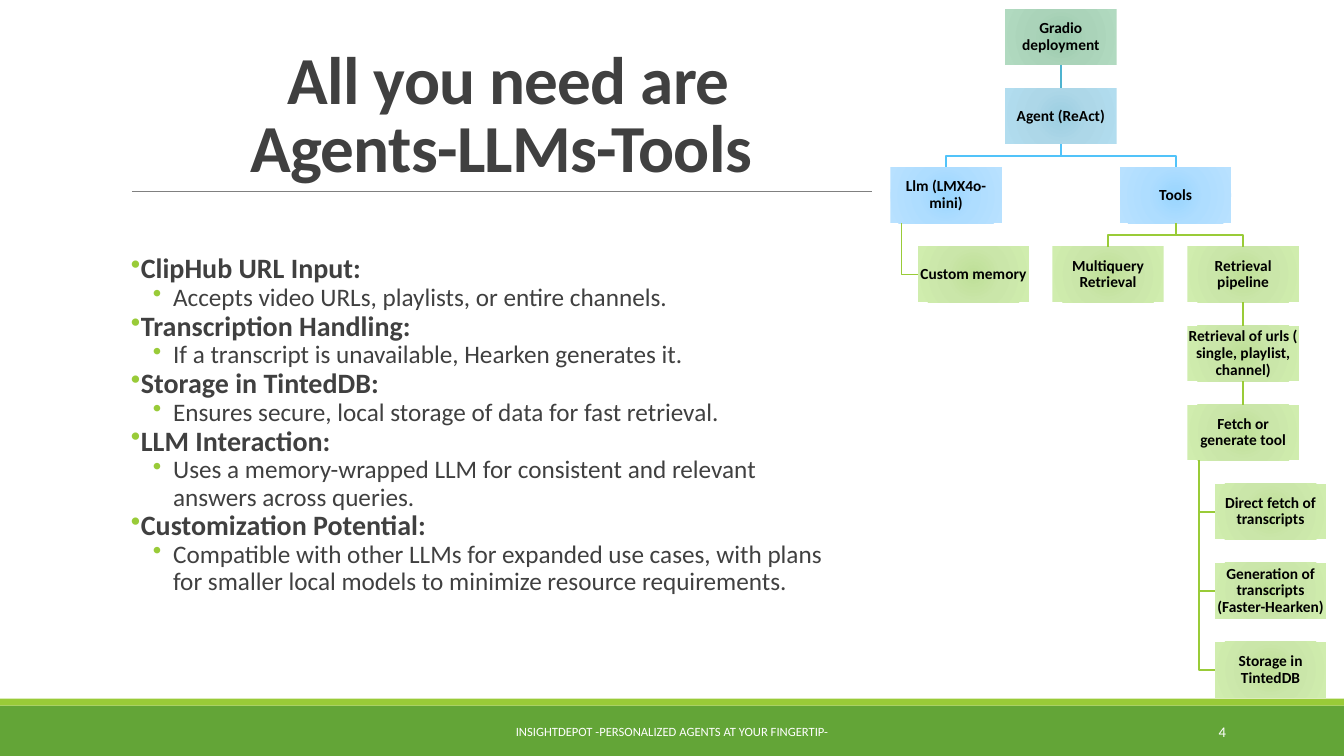
import pptx
import pptx.dml.color
import pptx.enum.shapes
import pptx.enum.text
import pptx.oxml
import pptx.oxml.ns
import pptx.util

Pt = pptx.util.Pt
ALIGN = pptx.enum.text.PP_ALIGN
ANCHOR = pptx.enum.text.MSO_ANCHOR
SHAPE = pptx.enum.shapes.MSO_SHAPE
NAMESPACE = pptx.oxml.ns.nsdecls("a")
rgb = pptx.dml.color.RGBColor.from_string

THEME = {
    "font": "Calibri",
    "ink": "404040", "node ink": "000000", "white": "FFFFFF",
    "band": "63A537", "stripe": "99CB38", "rule": "808080",
    "title size": 48, "heading size": 20, "detail size": 18,
    "node size": 11, "footer size": 9, "number size": 10.5,
    # One entry per tree level; deeper levels use the last one.
    "node fills": [("9ACAAC", "AAD3B9", "B1DAC0"), ("9CCEE1", "ADD7E8", "B2DDEF"),
                   ("99D5FE", "AEDDFF", "B8E1FF"), ("BEDF97", "CAE6A9", "D0EDAE")],
    "link colours": [None, "4EB3CF", "51C3F9", "99CB38"],
}


def write_paragraph(frame, text, size, colour, **formats):
    """Fill the empty first paragraph of the frame, or append a new one."""
    paragraph = frame.paragraphs[0]
    if paragraph.runs:
        paragraph = frame.add_paragraph()
    bold = formats.pop("bold", False)
    for name, value in formats.items():
        setattr(paragraph, name, value)
    for index, line in enumerate(text.split("\n")):
        if index:
            paragraph.add_line_break()
        run = paragraph.add_run()
        run.text = line
        for name, value in {"name": THEME["font"], "size": Pt(size), "bold": bold}.items():
            setattr(run.font, name, value)
        run.font.color.rgb = rgb(colour)
    return paragraph


def add_text_frame(left, top, width, height, anchor):
    frame = slide.shapes.add_textbox(Pt(left), Pt(top), Pt(width), Pt(height)).text_frame
    frame.word_wrap = True
    frame.vertical_anchor = anchor
    return frame


presentation = pptx.Presentation()
presentation.slide_width, presentation.slide_height = Pt(960), Pt(540)
slide = presentation.slides.add_slide(presentation.slide_layouts[6])

# Footer bands and title rule
for top, height, colour in [(504, 36, "band"), (499, 5, "stripe")]:
    band = slide.shapes.add_shape(SHAPE.RECTANGLE, 0, Pt(top), Pt(960), Pt(height))
    band.shadow.inherit = False
    band.fill.solid()
    band.fill.fore_color.rgb = rgb(THEME[colour])
    band.line.fill.background()

title_rule = slide.shapes.add_connector(
    pptx.enum.shapes.MSO_CONNECTOR.STRAIGHT, Pt(94.3), Pt(136.8), Pt(622.8), Pt(136.8))
title_rule.line.color.rgb = rgb(THEME["rule"])
title_rule.line.width = Pt(0.5)
title_rule._element.spPr.append(pptx.oxml.parse_xml(f"<a:effectLst {NAMESPACE}/>"))

# Title
title = write_paragraph(
    add_text_frame(86.4, 22.3, 553.7, 114.5, ANCHOR.BOTTOM),
    "All you need are\nAgents-LLMs-Tools ", THEME["title size"], THEME["ink"],
    bold=True, alignment=ALIGN.CENTER, line_spacing=0.85)
for run in title.runs:
    run.font._element.set("spc", "-50")

# Bulleted features
features = [
    ("ClipHub URL Input:", "Accepts video URLs, playlists, or entire channels."),
    ("Transcription Handling:", "If a transcript is unavailable, Hearken generates it."),
    ("Storage in TintedDB:", "Ensures secure, local storage of data for fast retrieval."),
    ("LLM Interaction:",
     "Uses a memory-wrapped LLM for consistent and relevant answers across queries."),
    ("Customization Potential:",
     "Compatible with other LLMs for expanded use cases, with plans for smaller local "
     "models to minimize resource requirements."),
]
bullet_levels = [("heading size", True, 7.2, 7.2), ("detail size", False, 30.2, 14.4)]
body = add_text_frame(86.4, 177.1, 516.2, 253.4, ANCHOR.MIDDLE)
for feature in features:
    for level, text in enumerate(feature):
        size, bold, margin, hang = bullet_levels[level]
        paragraph = write_paragraph(body, text, THEME[size], THEME["ink"], bold=bold,
                                    level=level, line_spacing=0.9)
        properties = paragraph._element.get_or_add_pPr()
        properties.set("marL", str(Pt(margin)))
        properties.set("indent", str(-Pt(hang)))
        for bullet in (f'<a:buClr {NAMESPACE}><a:srgbClr val="{THEME["stripe"]}"/></a:buClr>',
                       f'<a:buChar {NAMESPACE} char="•"/>'):
            properties.append(pptx.oxml.parse_xml(bullet))

# Tree nodes: key -> text, left edge, row, parent key, kind of link from the parent
NODE_WIDTH, NODE_HEIGHT = 79.6, 39.8
FIRST_TOP, ROW_PITCH = 6.6, 56.5
HANG_OFFSET = 8
nodes = {
    "deployment": ("Gradio deployment", 718, 0, None, None),
    "agent": ("Agent (ReAct)", 718, 1, "deployment", "straight"),
    "llm": ("Llm (LMX4o-mini)", 636, 2, "agent", "fork"),
    "tools": ("Tools", 800, 2, "agent", "fork"),
    "memory": ("Custom memory", 655.6, 3, "llm", "hang"),
    "multiquery": ("Multiquery Retrieval", 751.7, 3, "tools", "fork"),
    "pipeline": ("Retrieval pipeline", 848.2, 3, "tools", "fork"),
    "urls": ("Retrieval of urls ( single, playlist, channel)", 848.2, 4, "pipeline", "straight"),
    "fetch": ("Fetch or generate tool", 848.2, 5, "urls", "straight"),
    "direct": ("Direct fetch of transcripts", 867.8, 6, "fetch", "hang"),
    "generation": ("Generation of transcripts (Faster-Hearken)", 867.8, 7, "fetch", "hang"),
    "storage": ("Storage in TintedDB", 867.8, 8, "fetch", "hang"),
}
boxes = {}
for key, (text, left, row, parent, link_kind) in nodes.items():
    theme_level = min(row, 3)
    top = FIRST_TOP + row * ROW_PITCH
    box = slide.shapes.add_shape(SHAPE.RECTANGLE, Pt(left), Pt(top),
                                 Pt(NODE_WIDTH), Pt(NODE_HEIGHT))
    boxes[key] = box
    box.shadow.inherit = False
    box.line.fill.background()
    box.fill.gradient()
    stops = "".join(f'<a:gs pos="{position}"><a:srgbClr val="{colour}"/></a:gs>'
                    for position, colour in zip((0, 45000, 100000),
                                                THEME["node fills"][theme_level]))
    gradient = box._element.spPr.find(pptx.oxml.ns.qn("a:gradFill"))
    gradient[:] = list(pptx.oxml.parse_xml(
        f'<a:gradFill {NAMESPACE}><a:gsLst>{stops}</a:gsLst><a:path path="circle">'
        '<a:fillToRect l="100000" t="100000" r="100000" b="100000"/></a:path></a:gradFill>'))
    frame = box.text_frame
    frame.word_wrap = True
    frame.vertical_anchor = ANCHOR.MIDDLE
    for side in ("left", "top", "right", "bottom"):
        setattr(frame, f"margin_{side}", Pt(0.7))
    write_paragraph(frame, text, THEME["node size"], THEME["node ink"], bold=True,
                    alignment=ALIGN.CENTER, line_spacing=0.9)

    if parent is None:
        continue
    parent_left, parent_row = nodes[parent][1:3]
    start_y = FIRST_TOP + parent_row * ROW_PITCH + NODE_HEIGHT
    if link_kind == "straight":
        link = slide.shapes.add_connector(pptx.enum.shapes.MSO_CONNECTOR.STRAIGHT, 0, 0, 0, 0)
        link.begin_connect(boxes[parent], 2)
        link.end_connect(box, 0)
        link._element.spPr.append(pptx.oxml.parse_xml(f"<a:effectLst {NAMESPACE}/>"))
    else:
        if link_kind == "fork":
            start_x, end_x = parent_left + NODE_WIDTH / 2, left + NODE_WIDTH / 2
            bend_y = (start_y + top) / 2
            corners = [(start_x, bend_y), (end_x, bend_y), (end_x, top)]
        else:
            start_x, bend_y = parent_left + HANG_OFFSET, top + NODE_HEIGHT / 2
            corners = [(start_x, bend_y), (left, bend_y)]
        builder = slide.shapes.build_freeform(Pt(start_x), Pt(start_y))
        builder.add_line_segments([(Pt(x), Pt(y)) for x, y in corners], close=False)
        link = builder.convert_to_shape()
        link.shadow.inherit = False
        link.fill.background()
    link.line.color.rgb = rgb(THEME["link colours"][theme_level])
    link.line.width = Pt(1.25)

# Footer text and slide number
for left, width, text, size, alignment in [
    (290.2, 379.4, "INSIGHTDEPOT -PERSONALIZED AGENTS AT YOUR FINGERTIP-", "footer size",
     ALIGN.CENTER),
    (779.8, 103, "4", "number size", ALIGN.RIGHT),
]:
    write_paragraph(add_text_frame(left, 508.3, width, 28.8, ANCHOR.MIDDLE),
                    text, THEME[size], THEME["white"], alignment=alignment)

presentation.save("out.pptx")
